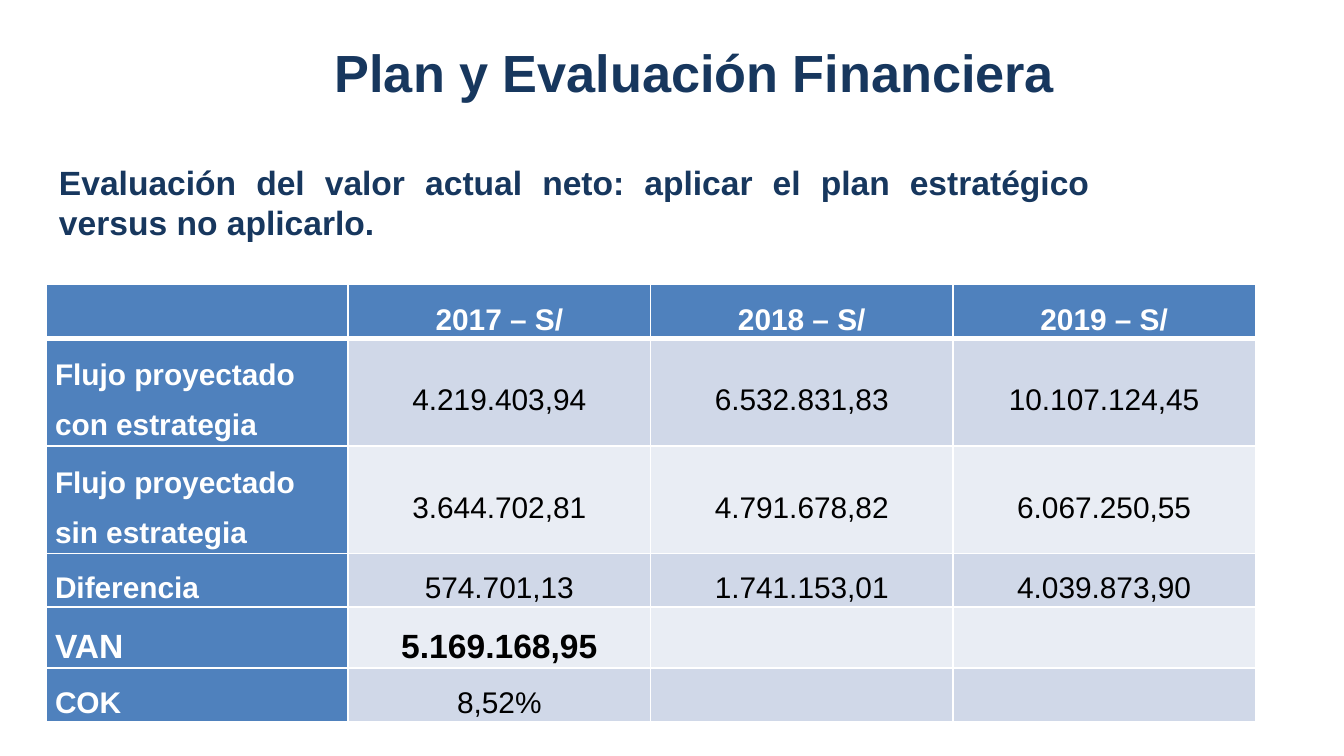
from lxml import etree
from pptx import Presentation
from pptx.dml.color import RGBColor
from pptx.enum import text
from pptx.oxml import ns
from pptx.util import Pt

NAVY = RGBColor(0x17, 0x37, 0x5E)
BLUE = RGBColor(0x4F, 0x81, 0xBD)
BAND_DARK = RGBColor(0xD0, 0xD8, 0xE8)
BAND_LIGHT = RGBColor(0xE9, 0xED, 0xF4)
WHITE = RGBColor(0xFF, 0xFF, 0xFF)
BLACK = RGBColor(0, 0, 0)

ROWS = [
    ("", "2017 – S/", "2018 – S/", "2019 – S/"),
    ("Flujo proyectado con estrategia", "4.219.403,94", "6.532.831,83", "10.107.124,45"),
    ("Flujo proyectado sin estrategia", "3.644.702,81", "4.791.678,82", "6.067.250,55"),
    ("Diferencia", "574.701,13", "1.741.153,01", "4.039.873,90"),
    ("VAN", "5.169.168,95", "", ""),
    ("COK", "8,52%", "", ""),
]
ROW_HEIGHTS = [28.5, 57.5, 57.5, 28.5, 32.5, 28.5]
COLUMN_WIDTH = 162
VAN_ROW = 4


def write(frame, words, size, color, bold, align):
    frame.text = words
    para = frame.paragraphs[0]
    para.alignment = align
    for span in para.runs:
        span.font.name = "Arial"
        span.font.size = Pt(size)
        span.font.bold = bold
        span.font.color.rgb = color
    return para


def add_title(page, words):
    title = page.shapes.title
    title.left, title.top, title.width, title.height = Pt(151), Pt(4.5), Pt(442), Pt(67.5)
    title.text_frame.vertical_anchor = text.MSO_ANCHOR.MIDDLE
    write(title.text_frame, words, 28, NAVY, True, text.PP_ALIGN.CENTER)


def add_statement(page, words):
    box = page.shapes.add_textbox(Pt(24.5), Pt(83), Pt(566.5), Pt(51))
    box.text_frame.word_wrap = True
    write(box.text_frame, words, 18, NAVY, True, text.PP_ALIGN.JUSTIFY)


def set_borders(cell, bottom_width):
    properties = cell._tc.get_or_add_tcPr()
    widths = {"a:lnL": 1, "a:lnR": 1, "a:lnT": 1, "a:lnB": bottom_width}
    for position, (tag, width) in enumerate(widths.items()):
        line = etree.Element(ns.qn(tag), w=str(Pt(width)))
        fill = etree.SubElement(line, ns.qn("a:solidFill"))
        etree.SubElement(fill, ns.qn("a:srgbClr"), val=str(WHITE))
        properties.insert(position, line)


def format_cell(cell, words, row, column):
    heading = row == 0 or column == 0
    band = BAND_DARK if row % 2 else BAND_LIGHT
    cell.fill.solid()
    cell.fill.fore_color.rgb = BLUE if heading else band
    cell.margin_left = cell.margin_right = Pt(5)
    cell.margin_top = cell.margin_bottom = 0
    cell.vertical_anchor = text.MSO_ANCHOR.MIDDLE
    set_borders(cell, 3 if row == 0 else 1)
    if words:
        para = write(
            cell.text_frame,
            words,
            18 if row == VAN_ROW else 16,
            WHITE if heading else BLACK,
            heading or row == VAN_ROW,
            text.PP_ALIGN.CENTER if column else text.PP_ALIGN.LEFT,
        )
        para.line_spacing = 1.5


def add_cash_flow_table(page):
    columns = len(ROWS[0])
    frame = page.shapes.add_table(
        len(ROWS), columns, Pt(24.5), Pt(152.5),
        Pt(COLUMN_WIDTH * columns), Pt(sum(ROW_HEIGHTS)),
    )
    table = frame.table
    for column in table.columns:
        column.width = Pt(COLUMN_WIDTH)
    for row, values in enumerate(ROWS):
        table.rows[row].height = Pt(ROW_HEIGHTS[row])
        for column, words in enumerate(values):
            format_cell(table.cell(row, column), words, row, column)


def main():
    deck = Presentation()
    deck.slide_width, deck.slide_height = Pt(720), Pt(405)
    page = deck.slides.add_slide(deck.slide_layouts[5])
    add_title(page, "Plan y Evaluación Financiera")
    add_statement(
        page,
        "Evaluación del valor actual neto: aplicar el plan estratégico versus no aplicarlo.",
    )
    add_cash_flow_table(page)
    deck.save("out.pptx")


if __name__ == "__main__":
    main()
